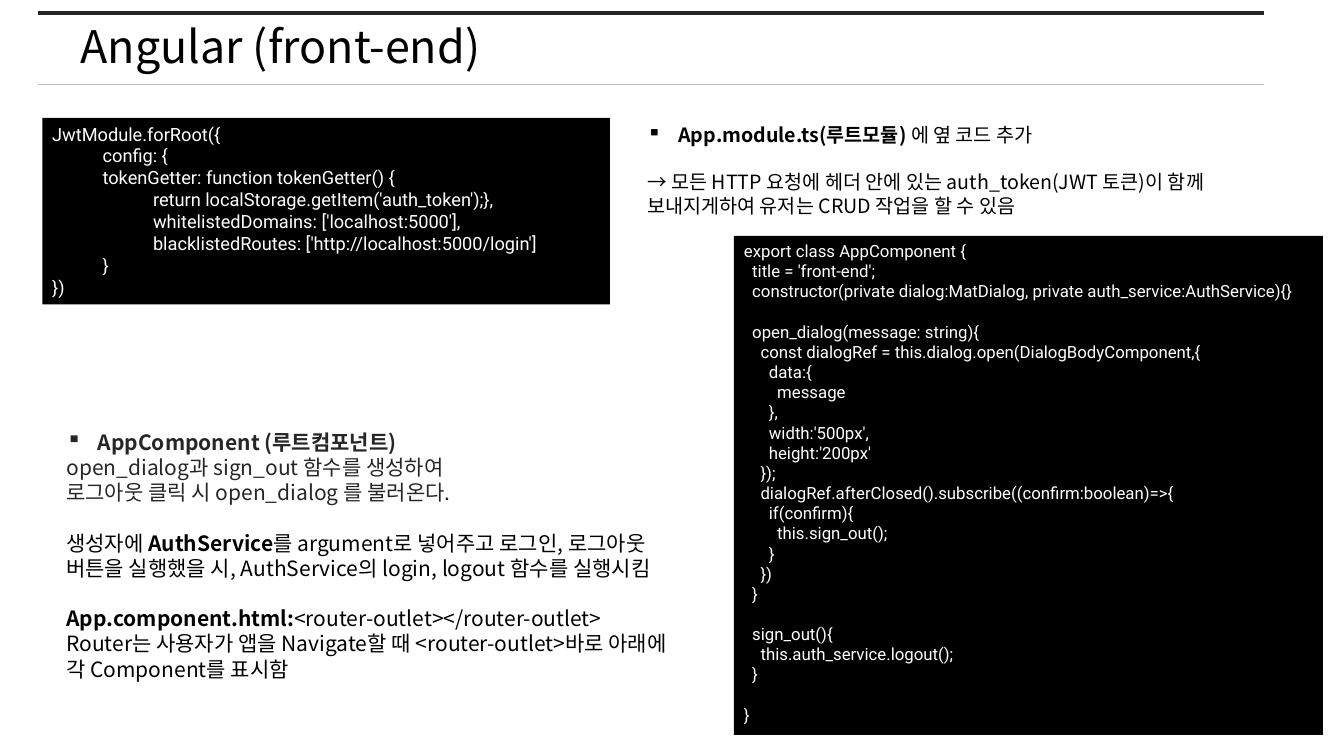
from pptx import Presentation
from pptx import util as u
from pptx.dml.color import RGBColor
from pptx.enum import shapes, text
from pptx.oxml import ns
from lxml import etree

BLACK = RGBColor(0, 0, 0)
WHITE = RGBColor(255, 255, 255)
DARK = RGBColor(0x26, 0x26, 0x26)
GREY = RGBColor(0xBF, 0xBF, 0xBF)

COMPONENT = """export class AppComponent {
  title = 'front-end';
  constructor(private dialog:MatDialog, private auth_service:AuthService){}

  open_dialog(message: string){
    const dialogRef = this.dialog.open(DialogBodyComponent,{
      data:{
        message
      },
      width:'500px',
      height:'200px'
    });
    dialogRef.afterClosed().subscribe((confirm:boolean)=>{
      if(confirm){
        this.sign_out();
      }
    })
  }

  sign_out(){
    this.auth_service.logout();
  }

}"""

MODULE = """JwtModule.forRoot({
\tconfig: {
\ttokenGetter: function tokenGetter() {
\t\treturn localStorage.getItem('auth_token');},
\t\twhitelistedDomains: ['localhost:5000'],
\t\tblacklistedRoutes: ['http://localhost:5000/login']
\t}
})"""

ROOT = """▪**App.module.ts(루트모듈) **에 옆 코드 추가

→ 모든 HTTP 요청에 헤더 안에 있는 auth_token(JWT 토큰)이 함께 보내지게하여 유저는 CRUD 작업을 할 수 있음"""

INTRO = """▪**AppComponent (루트컴포넌트)**
open_dialog과 sign_out 함수를 생성하여
로그아웃 클릭 시 open_dialog 를 불러온다."""

DETAIL = """
생성자에 **AuthService**를 argument로 넣어주고 로그인, 로그아웃 버튼을 실행했을 시, AuthService의 login, logout 함수를 실행시킴

**App.component.html:**<router-outlet></router-outlet>
Router는 사용자가 앱을 Navigate할 때 <router-outlet>바로 아래에 각 Component를 표시함"""


class Deck:
    sans = "Noto Sans CJK KR"
    mono = "Roboto"

    def __init__(self):
        self.prs = Presentation()
        self.prs.slide_width = u.Inches(13.33)
        self.prs.slide_height = u.Inches(7.5)
        self.slide = self.prs.slides.add_slide(self.prs.slide_layouts[6])

    def rule(self, y, color, width):
        line = self.slide.shapes.add_connector(
            shapes.MSO_CONNECTOR.STRAIGHT,
            u.Inches(0.38), u.Inches(y), u.Inches(12.54), u.Inches(y))
        line.line.color.rgb = color
        line.line.width = u.Pt(width)
        etree.SubElement(line._element.spPr, ns.qn("a:effectLst"))

    def indent(self, para, left, hang=0, mark=None):
        props = para._p.get_or_add_pPr()
        props.set("marL", str(u.Inches(left)))
        props.set("indent", str(-u.Inches(hang)))
        if mark:
            etree.SubElement(props, ns.qn("a:buChar")).set("char", mark)

    def font(self, para, name, size, color):
        para.font.size = u.Pt(size)
        para.font.color.rgb = color
        para.font.name = name
        base = para._p.pPr.find(ns.qn("a:defRPr"))
        etree.SubElement(base, ns.qn("a:ea")).set("typeface", name)

    def fill(self, frame, lines, name, size, color):
        gap = False
        for line in lines:
            if not line:
                gap = True
                continue
            para = frame.paragraphs[0]
            if para.runs:
                para = frame.add_paragraph()
            para.alignment = text.PP_ALIGN.LEFT
            if gap:
                para.space_before = u.Pt(size * 1.2)
            gap = False
            depth = line.count("\t")
            if depth:
                para.level = depth
                self.indent(para, depth * 0.5)
            if line.startswith("▪"):
                self.indent(para, 0.31, 0.31, "▪")
            self.font(para, name, size, color)
            for i, part in enumerate(line.strip("\t▪").split("**")):
                if part:
                    run = para.add_run()
                    run.text = part
                    if "**" in line:
                        run.font.bold = i % 2 == 1

    def note(self, box, size, *blocks):
        frame = self.slide.shapes.add_textbox(*map(u.Inches, box)).text_frame
        frame.word_wrap = True
        for i, (words, color) in enumerate(blocks):
            lines = words.split("\n")
            if i:
                para = frame.add_paragraph()
                para.space_before = u.Pt(size * 1.2)
                self.fill_last(para, lines[1:], size, color, frame)
            else:
                self.fill(frame, lines, self.sans, size, color)
        return frame

    def fill_last(self, para, lines, size, color, frame):
        frame._txBody.remove(para._p)
        self.fill(frame, [""] + lines, self.sans, size, color)

    def code(self, box, size, words):
        shape = self.slide.shapes.add_shape(
            shapes.MSO_SHAPE.RECTANGLE, *map(u.Inches, box))
        shape.shadow.inherit = False
        shape.fill.solid()
        shape.fill.fore_color.rgb = BLACK
        shape.line.fill.background()
        frame = shape.text_frame
        frame.word_wrap = True
        frame.vertical_anchor = text.MSO_ANCHOR.TOP
        self.fill(frame, words.split("\n"), self.mono, size, WHITE)


def main():
    deck = Deck()
    title = deck.note((0.7, 0.18, 11.5, 0.62), 32, ("Angular (front-end)", BLACK))
    title.vertical_anchor = text.MSO_ANCHOR.MIDDLE
    title.paragraphs[0].line_spacing = 0.9
    deck.rule(0.84, GREY, 0.5)
    deck.rule(0.13, DARK, 3)
    deck.note((0.56, 4.21, 6.38, 2.88), 15, (INTRO, DARK), (DETAIL, BLACK))
    deck.code((7.28, 2.34, 5.84, 4.95), 12, COMPONENT)
    deck.code((0.42, 1.17, 5.63, 1.85), 13, MODULE)
    deck.note((6.32, 1.17, 6.67, 1.04), 14, (ROOT, BLACK))
    deck.prs.save("out.pptx")


if __name__ == "__main__":
    main()
